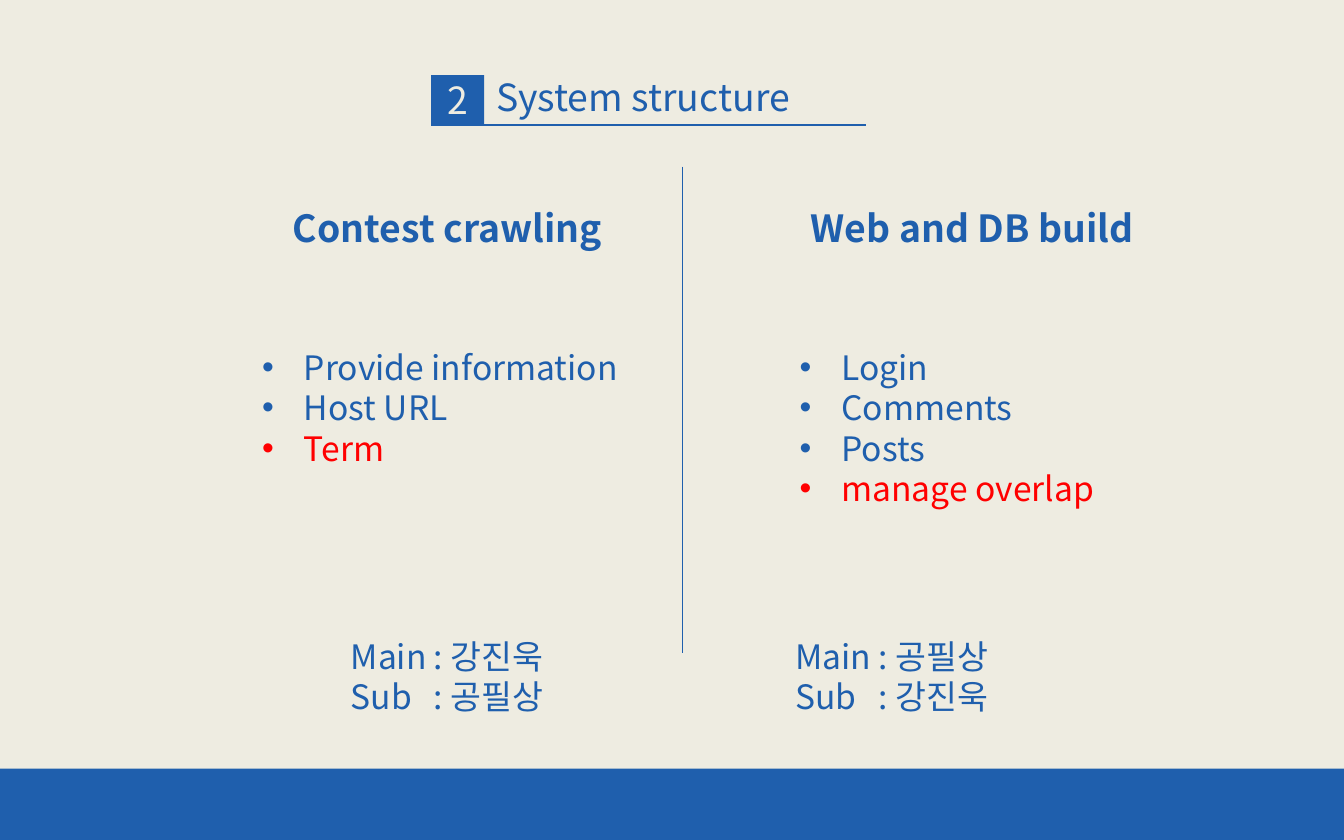
from lxml import etree
from pptx import Presentation
from pptx.dml.color import RGBColor
from pptx.enum.shapes import MSO_CONNECTOR, MSO_SHAPE
from pptx.enum.text import MSO_ANCHOR, MSO_AUTO_SIZE, PP_ALIGN
from pptx.oxml.ns import qn
from pptx.util import Cm, Pt

LEFT, CENTER = PP_ALIGN.LEFT, PP_ALIGN.CENTER
TOP, MIDDLE = MSO_ANCHOR.TOP, MSO_ANCHOR.MIDDLE
RECT, LINE = MSO_SHAPE.RECTANGLE, MSO_CONNECTOR.STRAIGHT
FIXED = MSO_AUTO_SIZE.NONE
FACE = "Noto Sans CJK KR"
BLUE, RED, CREAM = "1F5FAD", "FF0000", "EEECE1"
INDENT, TAB = Cm(0.79), Cm(1.57)

TITLE = ("System structure", (9.12, 1.27, 8.05, 1.12))
BADGE = ("2", (8.15, 1.42, 1, 0.94))
BAR = (0, 14.53, 25.4, 1.35)
RULES = [((8.15, 2.36, 16.36, 2.36), 1), ((12.9, 3.15, 12.9, 12.34), 0.25)]
PARTS = [
    {
        "head": ("Contest crawling", 2.11, 12.7),
        "list": (["Provide information", "Host URL", "Term"], 4.7, 7.8),
        "team": (["Main\t: 강진욱", "Sub\t: 공필상"], 6.38),
    },
    {
        "head": ("Web and DB build", 12.7, 11.35),
        "list": (["Login", "Comments", "Posts", "manage overlap"], 14.86, 6.71),
        "team": (["Main\t: 공필상", "Sub\t: 강진욱"], 14.78),
    },
]


def tint(code):
    """Turn a hex string into a colour."""
    return RGBColor.from_string(code)


def place(shape, box):
    """Move and size a shape in centimetres."""
    for name, size in zip(("left", "top", "width", "height"), box):
        setattr(shape, name, Cm(size))


def write(shape, lines, size=18, color=BLUE, bold=False, align=LEFT, anchor=TOP, last=None):
    """Fill a shape with formatted paragraphs."""
    frame = shape.text_frame
    look = {"word_wrap": True, "auto_size": FIXED, "vertical_anchor": anchor}
    for name, value in look.items():
        setattr(frame, name, value)
    frame.text = "\n".join(lines)
    for i, para in enumerate(frame.paragraphs):
        para.alignment, para.space_before = align, Pt(0)
        run = para.runs[0]
        for name, value in {"name": FACE, "size": Pt(size), "bold": bold}.items():
            setattr(run.font, name, value)
        end = last and i == len(lines) - 1
        run.font.color.rgb = tint(last if end else color)
        etree.SubElement(run._r.get_or_add_rPr(), qn("a:ea"), typeface=FACE)


def bullet(shape):
    """Give each paragraph a hanging bullet."""
    for para in shape.text_frame.paragraphs:
        props = para._p.get_or_add_pPr()
        props.set("marL", str(INDENT))
        props.set("indent", str(-INDENT))
        etree.SubElement(props, qn("a:buChar"), char="•")


def align_tab(shape):
    """Line up the colons at one tab stop."""
    for para in shape.text_frame.paragraphs:
        stops = etree.SubElement(para._p.get_or_add_pPr(), qn("a:tabLst"))
        etree.SubElement(stops, qn("a:tab"), pos=str(TAB), algn="l")


def block(slide, box):
    """Add a plain blue rectangle."""
    shape = slide.shapes.add_shape(RECT, *map(Cm, box))
    shape.shadow.inherit = False
    shape.fill.solid()
    shape.fill.fore_color.rgb = tint(BLUE)
    shape.line.fill.background()
    return shape


def rule(slide, ends, width):
    """Add a thin blue line."""
    line = slide.shapes.add_connector(LINE, *map(Cm, ends))
    line.line.color.rgb = tint(BLUE)
    line.line.width = Pt(width)
    etree.SubElement(line._element.spPr, qn("a:effectLst"))


def label(slide, box, lines, **look):
    """Add a text box."""
    shape = slide.shapes.add_textbox(*map(Cm, box))
    write(shape, lines, **look)
    return shape


def main():
    """Build and save the slide."""
    deck = Presentation()
    deck.slide_width, deck.slide_height = Cm(25.4), Cm(15.88)
    slide = deck.slides.add_slide(deck.slide_layouts[3])
    slide.background.fill.solid()
    slide.background.fill.fore_color.rgb = tint(CREAM)

    text, box = BADGE
    write(block(slide, box), [text], size=20, color=CREAM, align=CENTER, anchor=MIDDLE)
    block(slide, BAR)
    for ends, width in RULES:
        rule(slide, ends, width)

    title, *bodies = slide.placeholders
    text, box = TITLE
    place(title, box)
    write(title, [text], size=20)

    for part, body in zip(PARTS, bodies):
        text, left, width = part["head"]
        label(slide, (left, 3.76, width, 1.12), [text], size=20, bold=True, align=CENTER)
        lines, left, width = part["list"]
        place(body, (left, 6.43, width, 3.33))
        write(body, lines, last=RED)
        bullet(body)
        lines, left = part["team"]
        align_tab(label(slide, (left, 11.89, 5.79, 1.8), lines))

    deck.save("out.pptx")


if __name__ == "__main__":
    main()
